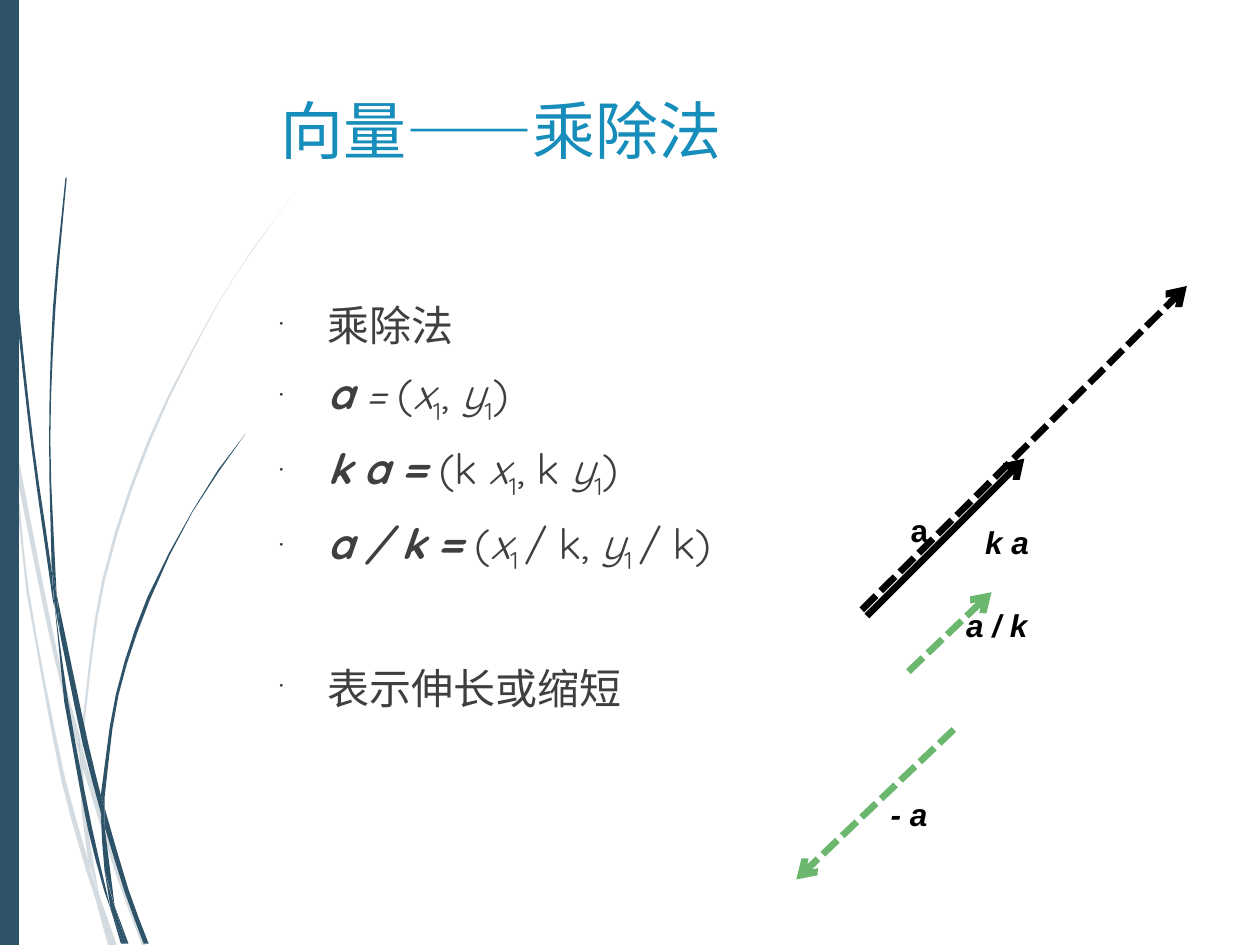
from math import ceil, dist

from lxml import etree
from pptx import Presentation
from pptx.dml.color import RGBColor
from pptx.enum.dml import MSO_LINE
from pptx.enum.shapes import MSO_CONNECTOR, MSO_SHAPE
from pptx.enum.text import MSO_ANCHOR, MSO_AUTO_SIZE, PP_ALIGN
from pptx.oxml.ns import qn
from pptx.util import Inches, Pt

STRAIGHT = MSO_CONNECTOR.STRAIGHT
RECTANGLE = MSO_SHAPE.RECTANGLE
DASHED = MSO_LINE.SQUARE_DOT
TOP = MSO_ANCHOR.TOP
LEFT = PP_ALIGN.LEFT
NO_FIT = MSO_AUTO_SIZE.NONE
FIT_SHAPE = MSO_AUTO_SIZE.SHAPE_TO_FIT_TEXT

NAVY = RGBColor(0x2E, 0x53, 0x69)
TITLE_BLUE = RGBColor(0x16, 0x8D, 0xBA)
BODY_GRAY = RGBColor(0x3F, 0x3F, 0x3F)
BLACK = RGBColor(0, 0, 0)
GREEN = RGBColor(0x6B, 0xB7, 0x6D)
BODY_FONT = "Quicksand"
LABEL_FONT = "Arial"
CURVE_STEP = 0.4

PALE_BLADES = [
    ([(0.08, 3.5), (0.06, 3.22), (0, 2.82)], [(0, 2.99), (0.07, 3.44)]),
    ([(0.13, 3.76), (0.43, 5.22), (0.63, 5.99)], [(0.64, 5.86), (0.46, 5.2), (0.11, 3.45)]),
    ([(0.66, 6.1), (0.92, 6.94), (1.13, 7.51)],
     [(1.16, 7.51), (0.95, 6.92), (0.69, 6.07), (0.66, 5.96)]),
    ([(0.79, 7.11), (0.89, 7.51)], [(0.93, 7.51)]),
    ([(0.76, 7.14), (0.7, 6.83), (0.52, 6.19), (0.23, 4.69), (0.13, 3.76), (0.08, 3.5)],
     [(0.21, 4.7), (0.49, 6.21), (0.69, 6.93)]),
    ([(0.63, 5.99), (0.65, 6.46), (0.7, 6.83), (0.79, 7.11)],
     [(0.78, 7.06), (0.68, 6.46), (0.66, 6.1)]),
    ([(0.66, 5.96), (0.66, 5.84), (0.83, 4.62), (1.2, 3.49), (1.71, 2.45), (2.01, 1.98),
      (2.34, 1.53)],
     [(2.01, 1.97), (1.71, 2.44), (1.18, 3.48), (0.81, 4.61), (0.64, 5.84)]),
    ([(0.76, 7.14), (0.86, 7.51)], [(0.89, 7.51)]),
    ([(0.66, 6.1), (0.66, 5.96)], [(0.63, 5.86), (0.63, 5.99)]),
    ([(0.7, 6.83), (0.76, 7.14), (0.89, 7.51)], [(0.79, 7.11), (0.72, 6.92)]),
]
DARK_BLADES = [
    ([(0.03, 0), (0.03, 0.48), (0.06, 1.09), (0.14, 2.32), (0.27, 3.55), (0.41, 4.53),
      (0.43, 4.81)],
     [(0.42, 4.77), (0.25, 3.55), (0.12, 2.33), (0.05, 1.1), (0.02, 0)]),
    ([(0.48, 5.05), (0.66, 5.92), (0.8, 6.45)], [(0.8, 6.31), (0.7, 5.9), (0.45, 4.72)]),
    ([(0.83, 6.56), (0.99, 7.08), (1.14, 7.49)],
     [(1.18, 7.49), (1.02, 7.06), (0.83, 6.41)]),
    ([(0.88, 7.22), (0.73, 6.57), (0.54, 5.56), (0.43, 4.77)],
     [(0.51, 5.57), (0.7, 6.59), (0.83, 7.08)]),
    ([(0.45, 4.72), (0.44, 4.53), (0.4, 3.49), (0.44, 2.45), (0.53, 1.41)],
     [(0.52, 1.41), (0.42, 2.45), (0.39, 3.49), (0.41, 4.49)]),
    ([(0.91, 7.19), (1, 7.49)], [(1.02, 7.49)]),
    ([(0.41, 4.49), (0.43, 4.77), (0.48, 5.05)], [(0.45, 4.72)]),
    ([(0.83, 6.41), (0.83, 6.33), (0.94, 5.52), (1.19, 4.76), (1.53, 4.06), (1.95, 3.44)],
     [(1.73, 3.73), (1.53, 4.05), (1.17, 4.74), (0.92, 5.51), (0.8, 6.31)]),
    ([(0.88, 7.22), (0.96, 7.49)], [(0.98, 7.49)]),
    ([(0.8, 6.45), (0.83, 6.91), (0.91, 7.19)], [(0.83, 6.56)]),
    ([(0.8, 6.45), (0.83, 6.56)], [(0.83, 6.41), (0.8, 6.31)]),
    ([(0.83, 6.91), (0.88, 7.22), (0.98, 7.49)], [(1, 7.49), (0.87, 7.06)]),
]
RULES = [
    [("乘除法", "")],
    [("a ", "bi"), ("= ", "i"), ("(", ""), ("x", "i"), ("1", "_"), (", ", ""),
     ("y", "i"), ("1", "_"), (")", "")],
    [("k a = ", "bi"), ("(k ", ""), ("x", "i"), ("1", "_"), (", k ", ""),
     ("y", "i"), ("1", "_"), (")", "")],
    [("a / k = ", "bi"), ("(", ""), ("x", "i"), ("1 ", "_"), ("/ k, ", ""),
     ("y", "i"), ("1 ", "_"), ("/ k)", "")],
    [("表示伸长或缩短", "")],
]
RULE_GAPS = [0, 10, 10, 10, 50]
VECTORS = [
    ((6.88, 4.89), (8.13, 3.64), BLACK, False),
    ((6.84, 4.84), (9.42, 2.27), BLACK, True),
    ((7.21, 5.33), (7.87, 4.7), GREEN, True),
    ((7.57, 5.79), (6.32, 6.98), GREEN, True),
]
LABELS = [
    ("a", 7.13, 4.01, 0.34, "b"),
    ("k a", 7.72, 4.1, 0.61, "bi"),
    ("a / k", 7.57, 4.76, 0.75, "bi"),
    ("- a", 6.97, 6.26, 0.56, "bi"),
]


def smooth(edge):
    slopes = []
    for i in range(len(edge)):
        near = edge[max(i - 1, 0):i + 2]
        length = sum(dist(p, q) for p, q in zip(near, near[1:])) or 1
        slopes.append([(b - a) / length for a, b in zip(near[0], near[-1])])
    points = [edge[0]]
    for i, (start, end) in enumerate(zip(edge, edge[1:])):
        length = dist(start, end)
        steps = ceil(length / CURVE_STEP)
        for step in range(1, steps + 1):
            t = step / steps
            points.append(tuple(
                (1 + 2 * t) * (1 - t) ** 2 * start[axis]
                + t * (1 - t) ** 2 * length * slopes[i][axis]
                + t * t * (3 - 2 * t) * end[axis]
                + t * t * (t - 1) * length * slopes[i + 1][axis]
                for axis in (0, 1)))
    return points


def paint(shape, alpha=None):
    shape.shadow.inherit = False
    shape.fill.solid()
    shape.fill.fore_color.rgb = NAVY
    shape.line.fill.background()
    if alpha:
        color = shape.fill._xPr.find(".//" + qn("a:srgbClr"))
        etree.SubElement(color, qn("a:alpha"), val=str(alpha * 1000))


def add_blade(slide, edges, alpha=None):
    outline = [(Inches(x), Inches(y)) for edge in edges for x, y in smooth(edge)]
    builder = slide.shapes.build_freeform(*outline[0])
    builder.add_line_segments(outline[1:], close=True)
    paint(builder.convert_to_shape(), alpha)


def write(paragraph, text, style="", font=BODY_FONT, size=24, color=BODY_GRAY):
    run = paragraph.add_run()
    run.text = text
    run.font.name = font
    run.font.size = Pt(size)
    run.font.color.rgb = color
    run.font.bold = "b" in style
    run.font.italic = "i" in style
    if "_" in style:
        run.font._element.set("baseline", "-25000")


def add_bullet(paragraph):
    props = paragraph._p.get_or_add_pPr()
    props.set("marL", str(Inches(0.38)))
    props.set("indent", str(-Inches(0.38)))
    color = etree.SubElement(props, qn("a:buClr"))
    etree.SubElement(color, qn("a:srgbClr"), val="353535")
    etree.SubElement(props, qn("a:buSzPct"), val="25000")
    etree.SubElement(props, qn("a:buChar"), char="•")


def add_title(slide):
    title = slide.shapes.title
    title.left, title.top = Inches(2.13), Inches(0.68)
    title.width, title.height = Inches(7.31), Inches(1.4)
    frame = title.text_frame
    frame.auto_size = NO_FIT
    frame.vertical_anchor = TOP
    frame.paragraphs[0].alignment = LEFT
    write(frame.paragraphs[0], "向量——乘除法", size=36, color=TITLE_BLUE)


def add_rules(slide):
    box = slide.shapes.add_textbox(Inches(2.12), Inches(2.33), Inches(7.31), Inches(4.13))
    frame = box.text_frame
    frame.word_wrap = True
    for i, (rule, gap) in enumerate(zip(RULES, RULE_GAPS)):
        paragraph = frame.add_paragraph() if i else frame.paragraphs[0]
        add_bullet(paragraph)
        if gap:
            paragraph.space_before = Pt(gap)
        for text, style in rule:
            write(paragraph, text, style)


def add_vector(slide, start, end, color, dashed):
    vector = slide.shapes.add_connector(STRAIGHT, *map(Inches, start + end))
    vector.line.color.rgb = color
    vector.line.width = Pt(3.83)
    if dashed:
        vector.line.dash_style = DASHED
    etree.SubElement(vector.line._get_or_add_ln(), qn("a:tailEnd"), type="arrow")
    etree.SubElement(vector._element.spPr, qn("a:effectLst"))


def add_label(slide, text, left, top, width, style):
    box = slide.shapes.add_textbox(Inches(left), Inches(top), Inches(width), Inches(0.4))
    box.text_frame.word_wrap = False
    box.text_frame.auto_size = FIT_SHAPE
    write(box.text_frame.paragraphs[0], text, style, font=LABEL_FONT, size=18, color=BLACK)


def main():
    deck = Presentation()
    deck.slide_width, deck.slide_height = Inches(10), Inches(7.5)
    slide = deck.slides.add_slide(deck.slide_layouts[5])
    for edges in PALE_BLADES:
        add_blade(slide, edges, alpha=20)
    for edges in DARK_BLADES:
        add_blade(slide, edges)
    paint(slide.shapes.add_shape(RECTANGLE, 0, 0, Inches(0.15), Inches(7.5)))
    add_title(slide)
    add_rules(slide)
    for vector in VECTORS:
        add_vector(slide, *vector)
    for label in LABELS:
        add_label(slide, *label)
    deck.save("out.pptx")


if __name__ == "__main__":
    main()
